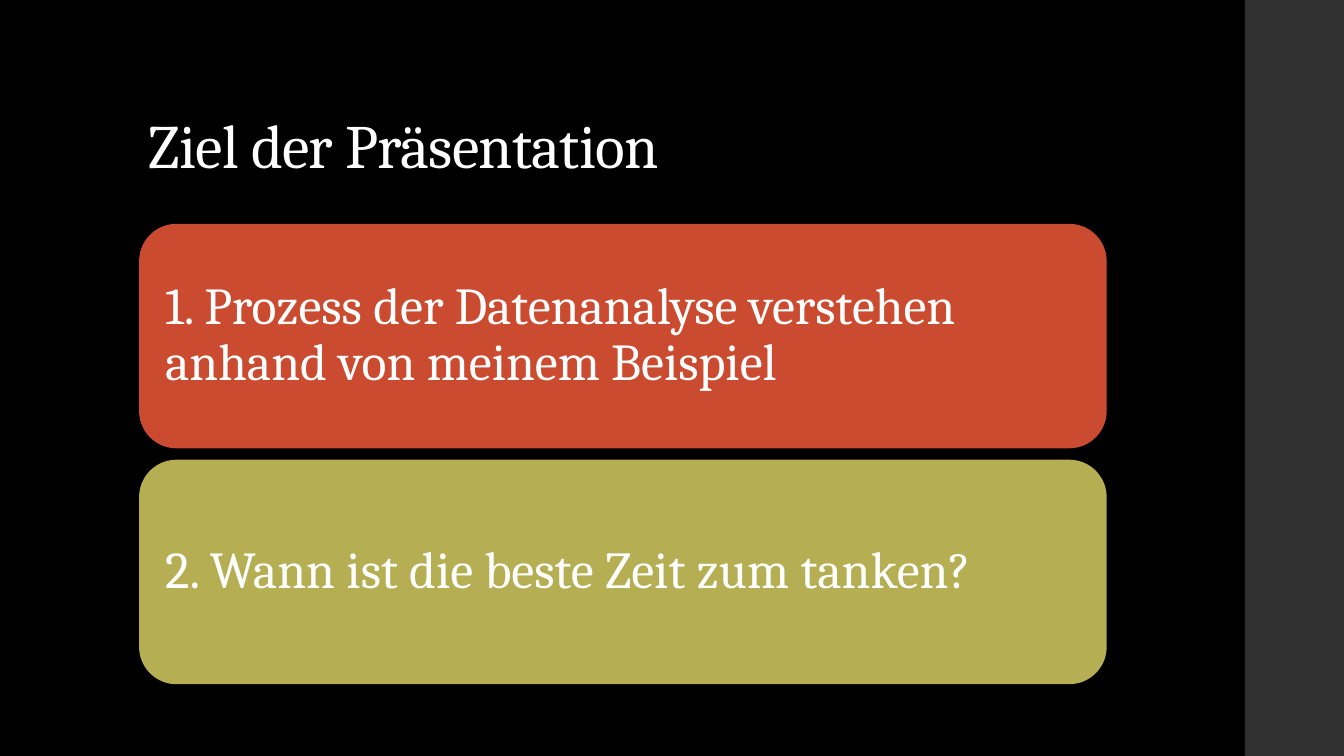
import pptx
import pptx.util
import pptx.dml.color
import pptx.enum.shapes
import pptx.enum.text

Pt = pptx.util.Pt
RGB = pptx.dml.color.RGBColor
KIND = pptx.enum.shapes.MSO_SHAPE
ANCHOR = pptx.enum.text.MSO_ANCHOR
ALIGN = pptx.enum.text.PP_ALIGN

BLACK = RGB(0x00, 0x00, 0x00)
GREY = RGB(0x30, 0x30, 0x30)
WHITE = RGB(0xFF, 0xFF, 0xFF)
RED = RGB(0xCB, 0x4B, 0x30)
OLIVE = RGB(0xB5, 0xAE, 0x53)

TITLE = "Ziel der Präsentation"
GOALS = [
    ("1. Prozess der Datenanalyse verstehen anhand von meinem Beispiel", RED),
    ("2. Wann ist die beste Zeit zum tanken?", OLIVE),
]

WIDE, HIGH = 960, 540
LEFT = 99.36
TOP, PITCH = 159.84, 168.5
CARD = (691.2, 160.4)
BAR = (889.2, 72)
INSET = 10.8


def draw(slide, kind, box, color):
    shape = slide.shapes.add_shape(kind, *map(Pt, box))
    shape.shadow.inherit = False
    shape.fill.solid()
    shape.fill.fore_color.rgb = color
    shape.line.fill.background()
    return shape


def write(shape, text, size, anchor, inset=None):
    frame = shape.text_frame
    form = {"word_wrap": True, "vertical_anchor": anchor}
    if inset is not None:
        for side in ("left", "top", "right", "bottom"):
            form["margin_" + side] = Pt(inset)
    para = frame.paragraphs[0]
    run = para.add_run()
    run.text = text
    run.font.color.rgb = WHITE
    looks = [
        (frame, form),
        (para, {"alignment": ALIGN.LEFT, "line_spacing": 0.9}),
        (run.font, {"name": "Cambria", "size": Pt(size)}),
    ]
    for item, vals in looks:
        for key, val in vals.items():
            setattr(item, key, val)
    return run


def main():
    deck = pptx.Presentation()
    deck.slide_width, deck.slide_height = Pt(WIDE), Pt(HIGH)
    slide = deck.slides.add_slide(deck.slide_layouts[6])
    slide.background.fill.solid()
    slide.background.fill.fore_color.rgb = BLACK

    draw(slide, KIND.RECTANGLE, (BAR[0], 0, BAR[1], HIGH), GREY)
    head = slide.shapes.add_textbox(Pt(LEFT), Pt(28.8), Pt(763.2), Pt(104.4))
    run = write(head, TITLE, 44, ANCHOR.BOTTOM)
    run.font._element.set("spc", "-50")

    for row, (text, color) in enumerate(GOALS):
        box = (LEFT, TOP + row * PITCH, *CARD)
        card = draw(slide, KIND.ROUNDED_RECTANGLE, box, color)
        write(card, text, 37, ANCHOR.MIDDLE, INSET)

    deck.save("out.pptx")


if __name__ == "__main__":
    main()
